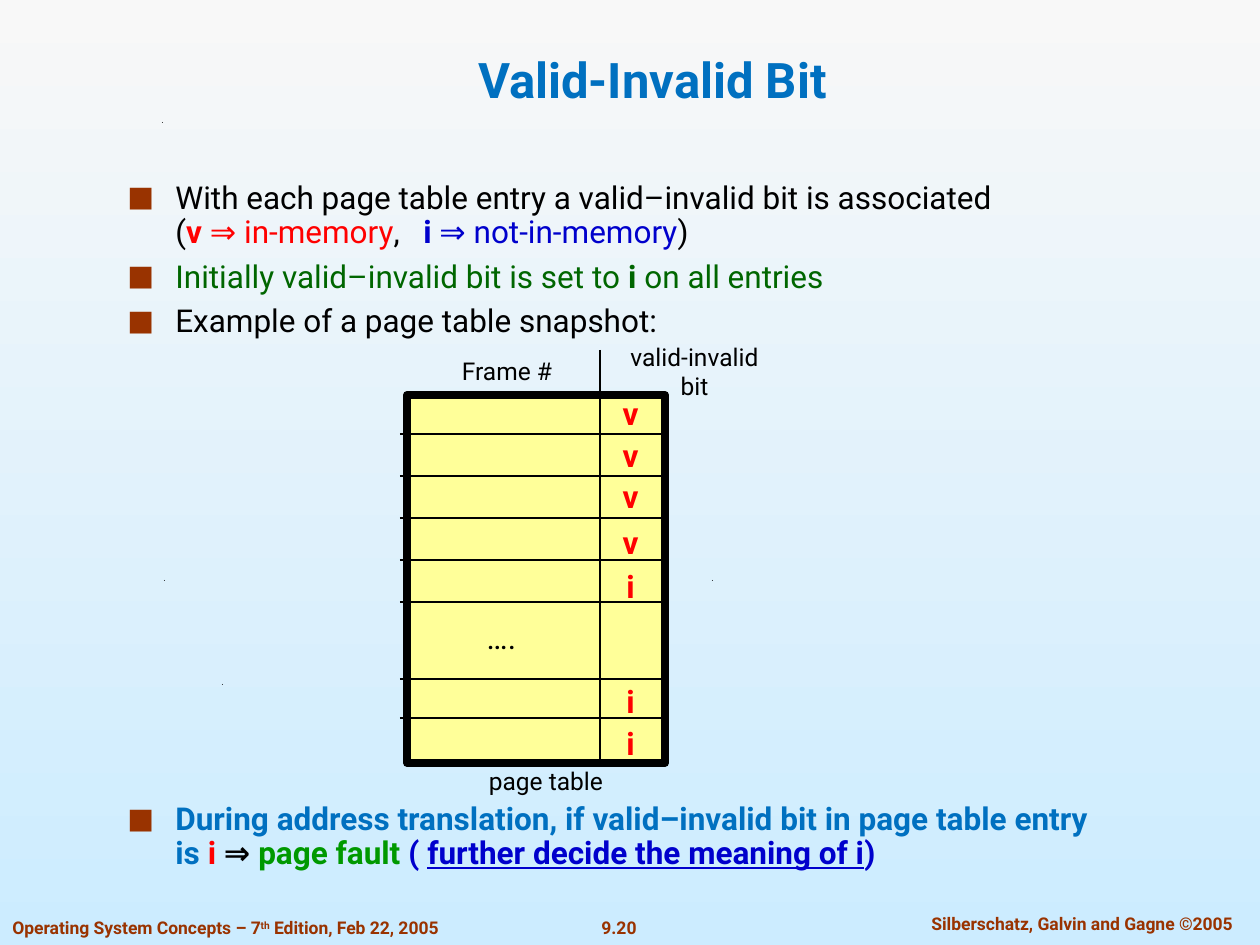
from lxml.etree import SubElement
from pptx import Presentation
from pptx.dml.color import RGBColor
from pptx.enum.shapes import MSO_CONNECTOR, MSO_SHAPE
from pptx.enum.text import MSO_ANCHOR, MSO_AUTO_SIZE, PP_ALIGN
from pptx.oxml.ns import qn
from pptx.util import Emu, Pt

EMU_PER_PX = 914400 / 126
FONT = "Roboto"
BLACK, RED, BLUE = "000000", "FF0000", "0000CC"
GREEN, RUST, TITLE_BLUE = "006600", "993300", "0070C0"

# Each run: text, colour, then any of b (bold), u (underlined)
BULLETS = [
    [("With each page table entry a valid–invalid bit is associated", BLACK, ""),
     ("\n", BLACK, ""), ("(", BLACK, ""), ("v ", RED, "b"),
     ("⇒ in-memory", RED, ""), (",   ", BLACK, ""), ("i", BLUE, "b"),
     (" ⇒ not-in-memory", BLUE, ""), (")", BLACK, "")],
    [("Initially valid–invalid bit is set to ", GREEN, ""), ("i ", GREEN, "b"),
     ("on all entries", GREEN, "")],
    [("Example of a page table snapshot:", BLACK, "")],
    [("During address translation, if valid–invalid bit in page table entry is ",
      TITLE_BLUE, "b"), ("i", RED, "b"), (" ⇒ ", BLACK, "b"),
     ("page fault ", "009900", "b"), ("( ", BLUE, "b"),
     ("further decide the meaning of i", BLUE, "bu"), (")", BLUE, "b")],
]
BULLET_SPACING = [0, 6.1, 6.1, 265]  # the last gap leaves room for the table

ROW_LINES = [434, 476, 518, 560, 602, 679, 718]
VALID_BITS = [("v", 413), ("v", 455), ("v", 496), ("v", 542),
              ("i", 586), ("i", 701), ("i", 743)]
SPECKS = [(162, 122), (164, 580), (712, 580), (222, 684)]


def px(length):
    return Emu(round(length * EMU_PER_PX))


def rgb(hex_colour):
    return RGBColor.from_string(hex_colour)


def add_run(paragraph, text, size, colour, style=""):
    """Add one run, or a line break when the text is a newline."""
    if text == "\n":
        paragraph.add_line_break()
        return None
    run = paragraph.add_run()
    run.text = text
    font = run.font
    font.name, font.size, font.bold = FONT, Pt(size), "b" in style
    font.color.rgb = rgb(colour)
    if "u" in style:
        font.underline = True
    return run


def add_text(slide, box, runs, size, align=PP_ALIGN.CENTER,
             anchor=MSO_ANCHOR.MIDDLE):
    frame = slide.shapes.add_textbox(*map(px, box)).text_frame
    frame.word_wrap = False
    frame.auto_size = MSO_AUTO_SIZE.NONE
    frame.vertical_anchor = anchor
    paragraph = frame.paragraphs[0]
    paragraph.alignment = align
    return [add_run(paragraph, text, size, colour, style)
            for text, colour, style in runs]


def add_rule(slide, x1, y1, x2, y2):
    rule = slide.shapes.add_connector(
        MSO_CONNECTOR.STRAIGHT, px(x1), px(y1), px(x2), px(y2))
    rule.line.color.rgb = rgb(BLACK)
    rule.line.width = Pt(0.75)
    SubElement(rule._element.spPr, qn("a:effectLst"))


def add_speck(slide, x, y):
    builder = slide.shapes.build_freeform(px(x), px(y + 1))
    builder.add_line_segments([(px(x + 1), px(y)), (px(x + 1), px(y + 1))])
    speck = builder.convert_to_shape()
    speck.shadow.inherit = False
    speck.fill.solid()
    speck.fill.fore_color.rgb = rgb(BLACK)
    speck.line.fill.background()


def set_bullet(paragraph):
    properties = paragraph._p.get_or_add_pPr()
    properties.set("marL", str(px(48)))
    properties.set("indent", str(-px(48)))
    colour = SubElement(properties, qn("a:buClr"))
    SubElement(colour, qn("a:srgbClr"), val=RUST)
    SubElement(properties, qn("a:buSzPct"), val="90000")
    SubElement(properties, qn("a:buFont"), typeface=FONT)
    SubElement(properties, qn("a:buChar"), char="■")


def set_background(slide):
    fill = slide.background.fill
    fill.gradient()
    fill.gradient_angle = 270
    for stop, colour in zip(fill.gradient_stops, ("F8F8F8", "CCECFF")):
        stop.color.rgb = rgb(colour)


def set_title(slide, text):
    title = slide.shapes.title
    title.left, title.top, title.width, title.height = map(px, (96, 49, 1113, 66))
    frame = title.text_frame
    frame.auto_size = MSO_AUTO_SIZE.NONE
    frame.vertical_anchor = MSO_ANCHOR.BOTTOM
    paragraph = frame.paragraphs[0]
    paragraph.alignment = PP_ALIGN.CENTER
    add_run(paragraph, text, 28, TITLE_BLUE, "b")


def add_bullets(slide):
    frame = slide.shapes.add_textbox(*map(px, (115, 176, 998, 718))).text_frame
    frame.word_wrap = True
    for index, (runs, gap) in enumerate(zip(BULLETS, BULLET_SPACING)):
        paragraph = frame.add_paragraph() if index else frame.paragraphs[0]
        set_bullet(paragraph)
        paragraph.line_spacing = 0.9
        paragraph.space_before = Pt(gap)
        for text, colour, style in runs:
            add_run(paragraph, text, 18, colour, style)


def add_page_table(slide):
    table = slide.shapes.add_shape(
        MSO_SHAPE.RECTANGLE, *map(px, (407, 395, 258, 368)))
    table.shadow.inherit = False
    table.fill.solid()
    table.fill.fore_color.rgb = rgb("FFFF99")
    table.line.color.rgb = rgb(BLACK)
    table.line.width = Pt(4.5)
    for y in ROW_LINES:
        add_rule(slide, 400, y, 663, y)
    add_rule(slide, 600, 350, 600, 760)
    for bit, centre in VALID_BITS:
        add_text(slide, (609, centre - 25, 43, 50), [(bit, RED, "b")], 18)
    add_text(slide, (469, 612, 65, 50), [("….", BLACK, "")], 18)
    add_text(slide, (449, 350, 116, 42), [("Frame #", BLACK, "")], 14)
    add_text(slide, (602, 350, 185, 42),
             [("valid-invalid", BLACK, ""), ("\n", BLACK, ""),
              ("bit", BLACK, "")], 14)
    add_text(slide, (476, 760, 140, 42), [("page table", BLACK, "")], 14)


def add_footer(slide):
    top = MSO_ANCHOR.TOP
    add_text(slide, (588, 911, 62, 34), [("9.20", RUST, "b")], 10, anchor=top)
    add_text(slide, (895, 907, 374, 34),
             [("Silberschatz, Galvin and Gagne ©2005", RUST, "b")], 10, anchor=top)
    edition = add_text(
        slide, (0, 911, 476, 34),
        [("Operating System Concepts – 7", RUST, "b"), ("th", RUST, "b"),
         (" Edition, Feb 22, 2005", RUST, "b")], 10, PP_ALIGN.LEFT, top)
    edition[1].font._element.set("baseline", "30000")


def main():
    presentation = Presentation()
    presentation.slide_width, presentation.slide_height = px(1260), px(945)
    slide = presentation.slides.add_slide(presentation.slide_layouts[5])
    set_background(slide)
    for x, y in SPECKS:
        add_speck(slide, x, y)
    add_footer(slide)
    set_title(slide, "Valid-Invalid Bit")
    add_bullets(slide)
    add_page_table(slide)
    presentation.save("out.pptx")


if __name__ == "__main__":
    main()
